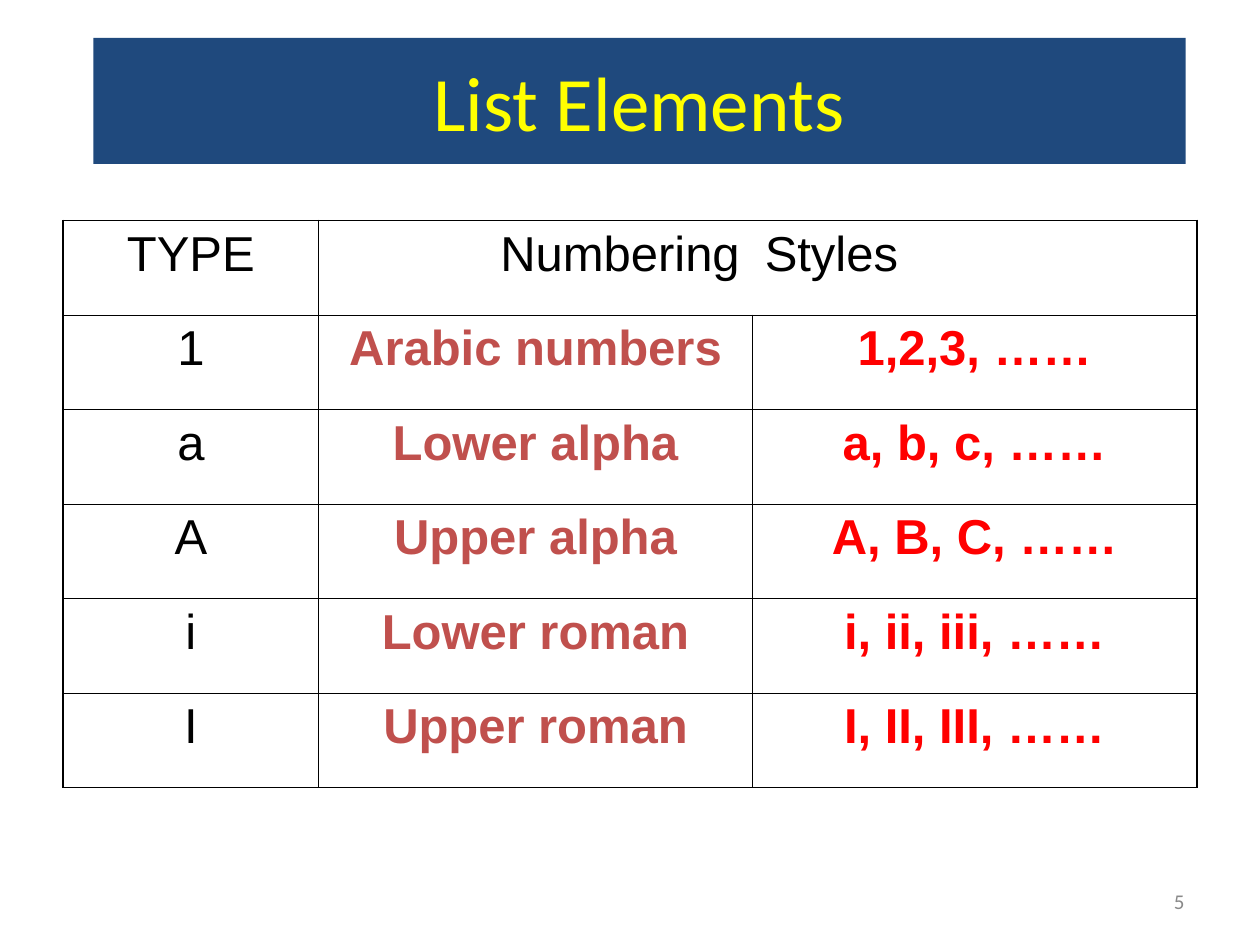
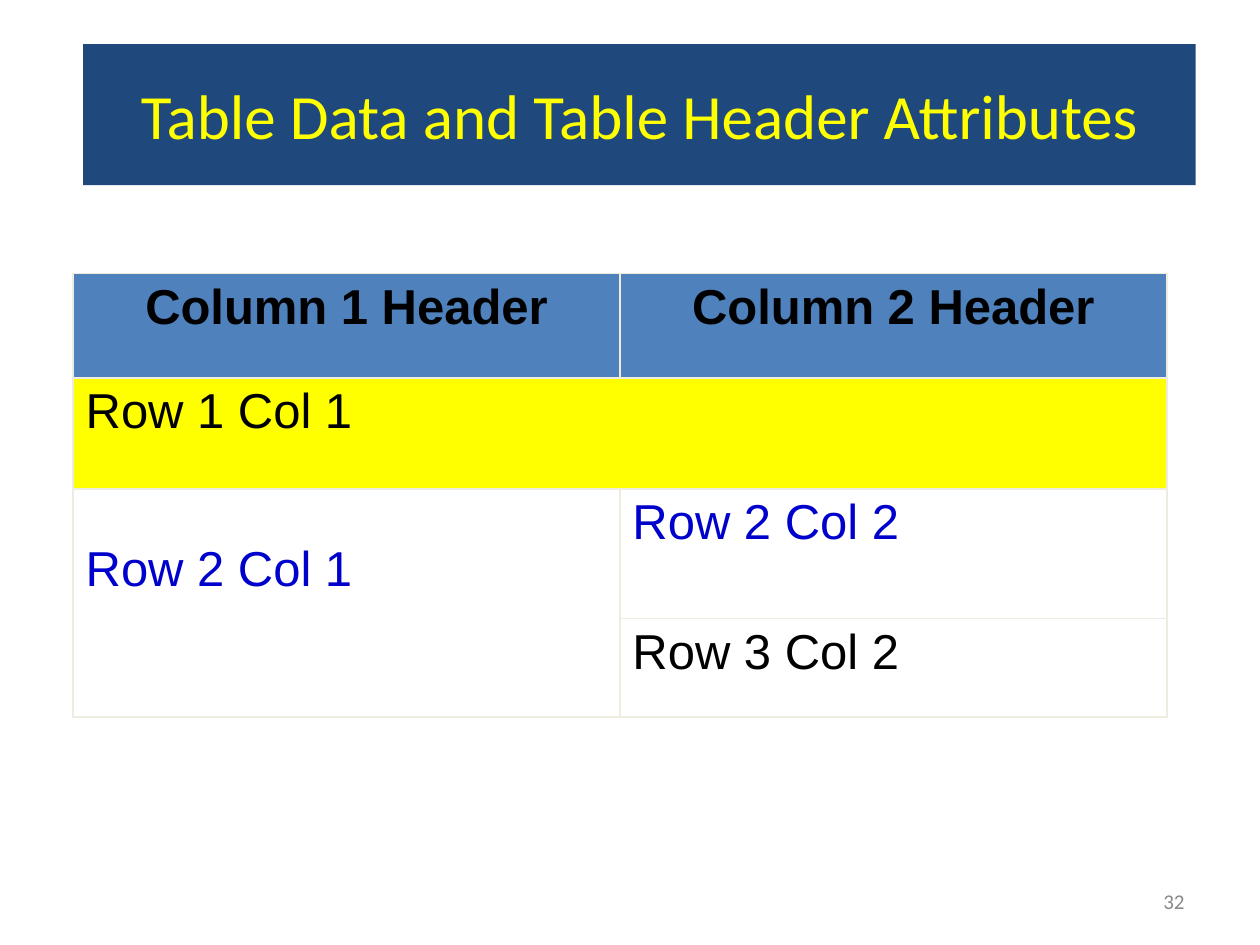
from pptx import Presentation
from pptx.dml.color import RGBColor
from pptx.enum.text import MSO_ANCHOR, PP_ALIGN
from pptx.oxml.ns import qn
from pptx.util import Inches, Pt
from lxml.etree import SubElement

NAVY = RGBColor(0x1F, 0x49, 0x7D)
YELLOW = RGBColor(0xFF, 0xFF, 0x00)
GREY = RGBColor(0x89, 0x89, 0x89)
BLACK = RGBColor(0x00, 0x00, 0x00)
BRICK = RGBColor(0xC0, 0x50, 0x4D)
RED = RGBColor(0xFF, 0x00, 0x00)
STEEL = RGBColor(0x4F, 0x81, 0xBD)
CREAM = RGBColor(0xEE, 0xEC, 0xE1)
BLUE = RGBColor(0x00, 0x00, 0xCC)

LEFT, MID, RIGHT = PP_ALIGN.LEFT, PP_ALIGN.CENTER, PP_ALIGN.RIGHT


class Deck:
    """Holds the shared style and the current slide."""

    head_font, cell_font = "Calibri", "Arial"
    cell_size, note_size = 28, 12

    def __init__(self):
        self.prs = Presentation()
        self.prs.slide_width = Inches(10)
        self.prs.slide_height = Inches(7.5)
        self.slide = None

    def label(self, frame, text, font, size, color, align, bold=False):
        frame.text = text
        para = frame.paragraphs[0]
        para.alignment = align
        for run in para.runs:
            run.font.name = font
            run.font.size = Pt(size)
            run.font.bold = bold
            run.font.color.rgb = color

    def start(self, title, box, size, number):
        """Add a slide with its title band and page number."""
        self.slide = self.prs.slides.add_slide(self.prs.slide_layouts[5])
        band = self.slide.shapes.title
        band.left, band.top, band.width, band.height = map(Inches, box)
        band.fill.solid()
        band.fill.fore_color.rgb = NAVY
        self.anchor(band.text_frame)
        self.label(band.text_frame, title, self.head_font, size, YELLOW, MID)

        note = self.slide.shapes.add_textbox(
            Inches(7.17), Inches(6.95), Inches(2.33), Inches(0.4))
        self.anchor(note.text_frame)
        self.label(note.text_frame, number, self.head_font, self.note_size,
                   GREY, RIGHT)

    def anchor(self, frame):
        frame.word_wrap = True
        frame.vertical_anchor = MSO_ANCHOR.MIDDLE

    def table(self, left, top, widths, heights, ink, inner, outer, gaps=()):
        """Add a ruled, unfilled table; gaps lists (row, column, side)."""
        rows, cols = len(heights), len(widths)
        grid = self.slide.shapes.add_table(
            rows, cols, Inches(left), Inches(top),
            Inches(sum(widths)), Inches(sum(heights))).table
        grid.first_row = grid.horz_banding = False
        for col, width in zip(grid.columns, widths):
            col.width = Inches(width)
        for row, height in zip(grid.rows, heights):
            row.height = Inches(height)
        for r in range(rows):
            for c in range(cols):
                edges = {"L": c == 0, "R": c == cols - 1,
                         "T": r == 0, "B": r == rows - 1}
                for side, rim in edges.items():
                    shown = (r, c, side) not in gaps
                    self.rule(grid.cell(r, c), side, ink,
                              outer if rim else inner, shown)
                grid.cell(r, c).fill.background()
        return grid

    def rule(self, cell, side, ink, width, shown):
        props = cell._tc.get_or_add_tcPr()
        line = SubElement(props, qn("a:ln" + side), w=str(Pt(width)))
        if shown:
            fill = SubElement(line, qn("a:solidFill"))
            SubElement(fill, qn("a:srgbClr"), val=str(ink))
        else:
            SubElement(line, qn("a:noFill"))

    def cell(self, cell, text, color=BLACK, align=LEFT, bold=False):
        self.label(cell.text_frame, text, self.cell_font, self.cell_size,
                   color, align, bold)

    def paint(self, cell, color):
        cell.fill.solid()
        cell.fill.fore_color.rgb = color


def list_slide(deck):
    deck.start("List Elements", (0.74, 0.3, 8.67, 1), 44, "5")
    styles = [
        ("1", "Arabic numbers", "1,2,3, ……"),
        ("a", "Lower alpha", "a, b, c, ……"),
        ("A", "Upper alpha", "A, B, C, ……"),
        ("i", "Lower roman", "i, ii, iii, ……"),
        ("I", "Upper roman", "I, II, III, ……"),
    ]
    grid = deck.table(0.5, 1.75, [2.03, 3.44, 3.53],
                      [0.75] * (len(styles) + 1), BLACK, 0.45, 1.08,
                      {(0, 1, "R"), (0, 2, "L")})
    # Heading row, its last two cells reading as one
    heads = zip(("TYPE", "Numbering", "Styles"), (MID, RIGHT, LEFT))
    for c, (text, align) in enumerate(heads):
        deck.cell(grid.cell(0, c), text, align=align)
    # One row for each numbering style
    for r, row in enumerate(styles, 1):
        for c, (text, color) in enumerate(zip(row, (BLACK, BRICK, RED))):
            deck.cell(grid.cell(r, c), text, color, MID, bold=c > 0)


def data_slide(deck):
    deck.start("Table Data and Table Header Attributes",
               (0.66, 0.35, 8.83, 1.12), 36, "32")
    gaps = {(1, 0, "R"), (1, 1, "L"), (2, 0, "B"), (3, 0, "T")}
    grid = deck.table(0.58, 2.17, [4.34] * 2, [0.83, 0.88, 1.03, 0.78],
                      CREAM, 1.08, 1.08, gaps)
    # Column headers and the row that spans both columns
    for c in range(2):
        deck.cell(grid.cell(0, c), f"Column {c + 1} Header", BLACK, MID, True)
        deck.paint(grid.cell(0, c), STEEL)
        deck.paint(grid.cell(1, c), YELLOW)
    # Data cells
    for r, c, color in ((1, 0, BLACK), (2, 0, BLUE),
                        (2, 1, BLUE), (3, 1, BLACK)):
        deck.cell(grid.cell(r, c), f"Row {r} Col {c + 1}", color)
    grid.cell(2, 0).margin_top = Inches(0.42)


def main():
    deck = Deck()
    list_slide(deck)
    data_slide(deck)
    deck.prs.save("out.pptx")


if __name__ == "__main__":
    main()
